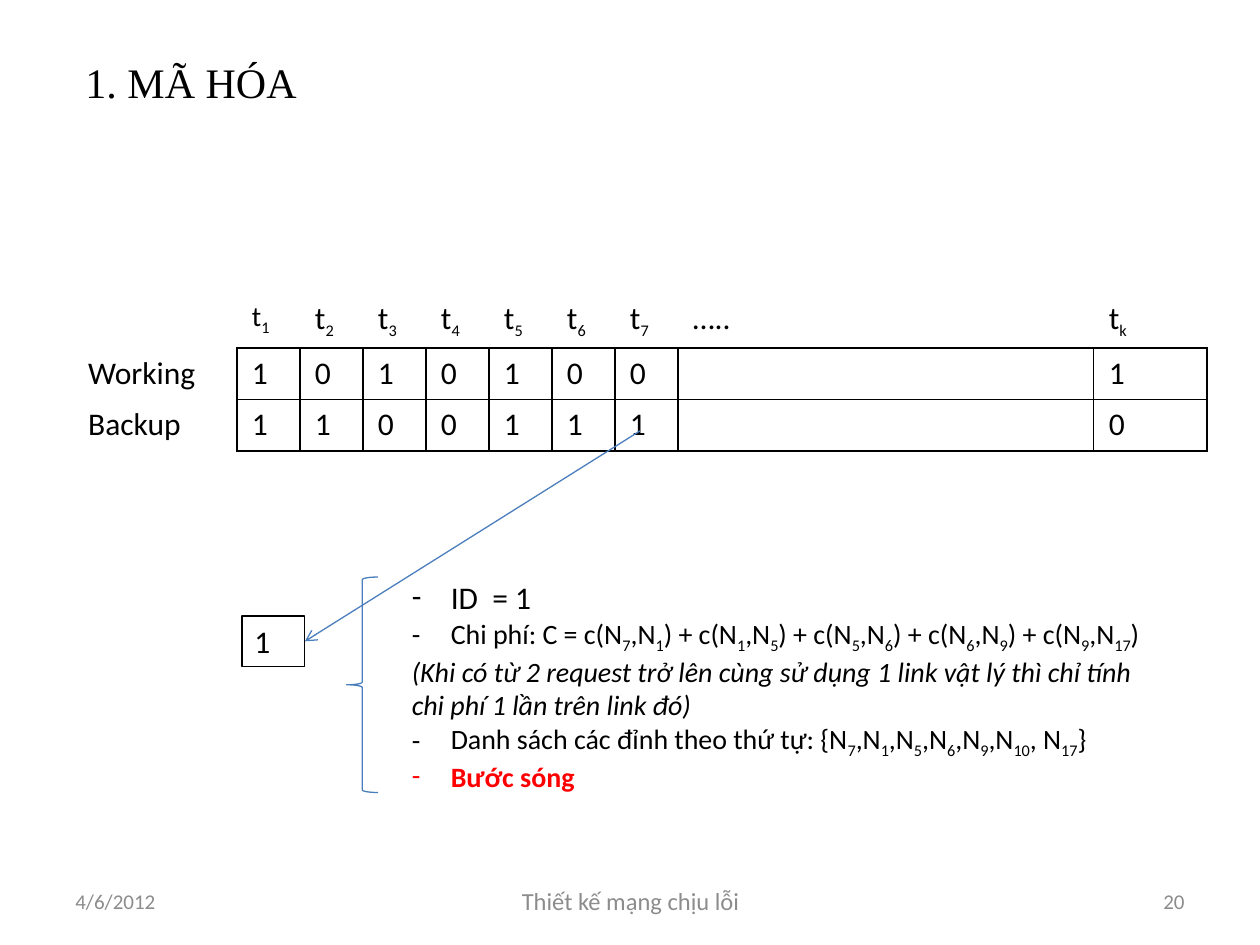
from lxml import etree
from pptx import Presentation
from pptx.dml.color import RGBColor
from pptx.enum.shapes import MSO_CONNECTOR, MSO_SHAPE
from pptx.enum.text import MSO_ANCHOR, PP_ALIGN
from pptx.oxml.ns import qn
from pptx.util import Inches, Pt

COLORS = {"text": "000000", "footer": "8C8C8C", "accent": "4B7EBC", "alert": "FF0000"}
PLAIN_TABLE_STYLE = "{2D5ABB26-0587-4C30-8999-92F81FD0307C}"


def rgb(name):
    return RGBColor.from_string(COLORS[name])


def add_runs(paragraph, text, size=18, sub_size=None, color="text",
             font="Calibri", bold=False, italic=False):
    """Write text in which every part between underscores is a subscript."""
    for i, part in enumerate(text.split("_")):
        if not part:
            continue
        is_sub = i % 2 == 1
        run = paragraph.add_run()
        run.text = part
        run.font.name = font
        run.font.size = Pt(sub_size if is_sub and sub_size else size)
        run.font.color.rgb = rgb(color)
        run.font.bold = bold
        run.font.italic = italic
        if is_sub:
            run.font._element.set("baseline", "-25000")


def add_text(slide, box, text, align=PP_ALIGN.LEFT, **style):
    frame = slide.shapes.add_textbox(*map(Inches, box)).text_frame
    frame.word_wrap = True
    frame.vertical_anchor = MSO_ANCHOR.MIDDLE
    frame.paragraphs[0].alignment = align
    add_runs(frame.paragraphs[0], text, **style)


def add_dash(paragraph):
    properties = paragraph._p.get_or_add_pPr()
    properties.set("marL", str(Inches(0.31)))
    properties.set("indent", str(Inches(-0.31)))
    etree.SubElement(properties, qn("a:buFont")).set("typeface", "Calibri")
    etree.SubElement(properties, qn("a:buChar")).set("char", "-")


def add_dash_list(slide, box, items):
    frame = slide.shapes.add_textbox(*map(Inches, box)).text_frame
    frame.word_wrap = False
    for i, (text, dashed, style) in enumerate(items):
        paragraph = frame.add_paragraph() if i else frame.paragraphs[0]
        if dashed:
            add_dash(paragraph)
        add_runs(paragraph, text, **style)


def set_borders(cell, sides):
    properties = cell._tc.get_or_add_tcPr()
    for side in "LRTB":
        line = etree.SubElement(properties, qn(f"a:ln{side}"))
        line.set("w", str(Pt(1)))
        if side in sides:
            fill = etree.SubElement(line, qn("a:solidFill"))
            etree.SubElement(fill, qn("a:srgbClr")).set("val", COLORS["text"])
        else:
            etree.SubElement(line, qn("a:noFill"))


def add_bit_table(slide, left, top, widths, row_height, rows):
    table = slide.shapes.add_table(
        len(rows), len(widths), Inches(left), Inches(top),
        Inches(sum(widths)), Inches(row_height * len(rows))).table
    table.first_row = table.horz_banding = False
    table._tbl.tblPr.find(qn("a:tableStyleId")).text = PLAIN_TABLE_STYLE
    for column, width in zip(table.columns, widths):
        column.width = Inches(width)
    for r, values in enumerate(rows):
        table.rows[r].height = Inches(row_height)
        for c, value in enumerate(values):
            cell = table.cell(r, c)
            cell.margin_left = cell.margin_right = Inches(0.12)
            # Only the bits are boxed; headings and labels touch their edge
            if r and c:
                sides = "LRTB"
            elif r:
                sides = "R"
            else:
                sides = "B" if c else ""
            set_borders(cell, sides)
            cell.fill.background()
            add_runs(cell.text_frame.paragraphs[0], value,
                     size=16 if value == "t_1_" else 18, sub_size=16)


def add_outline(slide, kind, box, color):
    shape = slide.shapes.add_shape(kind, *map(Inches, box))
    shape.shadow.inherit = False
    shape.fill.background()
    shape.line.color.rgb = rgb(color)
    shape.line.width = Pt(0.75)
    return shape


def add_arrow(slide, start, end):
    arrow = slide.shapes.add_connector(
        MSO_CONNECTOR.STRAIGHT, *map(Inches, start + end))
    arrow.line.color.rgb = rgb("accent")
    arrow.line.width = Pt(0.75)
    etree.SubElement(arrow.line._get_or_add_ln(), qn("a:tailEnd")).set("type", "arrow")
    etree.SubElement(arrow._element.spPr, qn("a:effectLst"))


def main():
    deck = Presentation()
    deck.slide_width, deck.slide_height = Inches(10), Inches(7.5)
    slide = deck.slides.add_slide(deck.slide_layouts[6])

    # Title
    add_text(slide, (0.58, 0.3, 8.92, 0.7), "1. MÃ HÓA", size=24,
             font="Times New Roman")

    # Encoding table
    add_bit_table(slide, 0.58, 2.33, [1.3] + [0.5] * 7 + [3.3, 0.9], 0.41, [
        [""] + [f"t_{i}_" for i in range(1, 8)] + ["…..", "t_k_"],
        ["Working", *"1010100", "", "1"],
        ["Backup", *"1100111", "", "0"],
    ])

    # Footer
    add_text(slide, (0.5, 6.95, 2.33, 0.4), "4/6/2012", size=12, color="footer")
    add_text(slide, (3.42, 6.95, 3.17, 0.4), "Thiết kế mạng chịu lỗi",
             PP_ALIGN.CENTER, size=14, color="footer")
    add_text(slide, (7.17, 6.95, 2.33, 0.4), "20", PP_ALIGN.RIGHT, size=12,
             color="footer")

    # One bit and its details
    add_arrow(slide, (5.08, 3.42), (2.42, 5.09))
    bit = add_outline(slide, MSO_SHAPE.RECTANGLE, (1.92, 4.89, 0.5, 0.4), "text")
    bit.text_frame.vertical_anchor = MSO_ANCHOR.TOP
    bit.text_frame.paragraphs[0].alignment = PP_ALIGN.LEFT
    add_runs(bit.text_frame.paragraphs[0], "1")
    add_outline(slide, MSO_SHAPE.LEFT_BRACE, (2.75, 4.58, 0.25, 1.71), "accent")

    hops = [(7, 1), (1, 5), (5, 6), (6, 9), (9, 17)]
    cost = " + ".join(f"c(N_{a}_,N_{b}_)" for a, b in hops)
    nodes = ",".join(f"N_{n}_" for n in (7, 1, 5, 6, 9, 10))
    body, note = {"size": 16}, {"size": 16, "italic": True}
    add_dash_list(slide, (3.17, 4.54, 6.16, 1.75), [
        ("ID  = 1", True, {"size": 18}),
        (f"Chi phí: C = {cost}", True, body),
        ("(Khi có từ 2 request trở lên cùng sử dụng 1 link vật lý thì chỉ tính ",
         False, note),
        ("chi phí 1 lần trên link đó)", False, note),
        (f"Danh sách các đỉnh theo thứ tự: {{{nodes}, N_17_}}", True, body),
        ("Bước sóng", True, {"size": 16, "color": "alert", "bold": True}),
    ])

    deck.save("out.pptx")


main()
